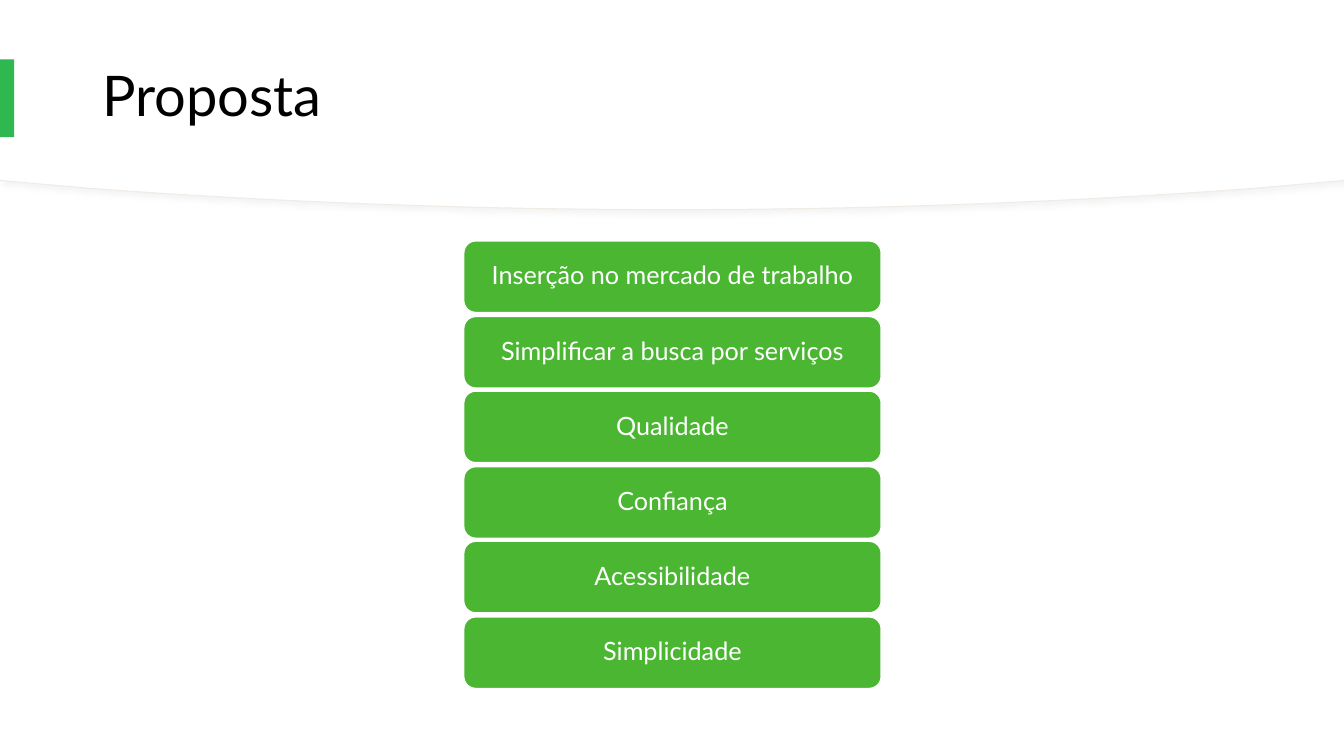
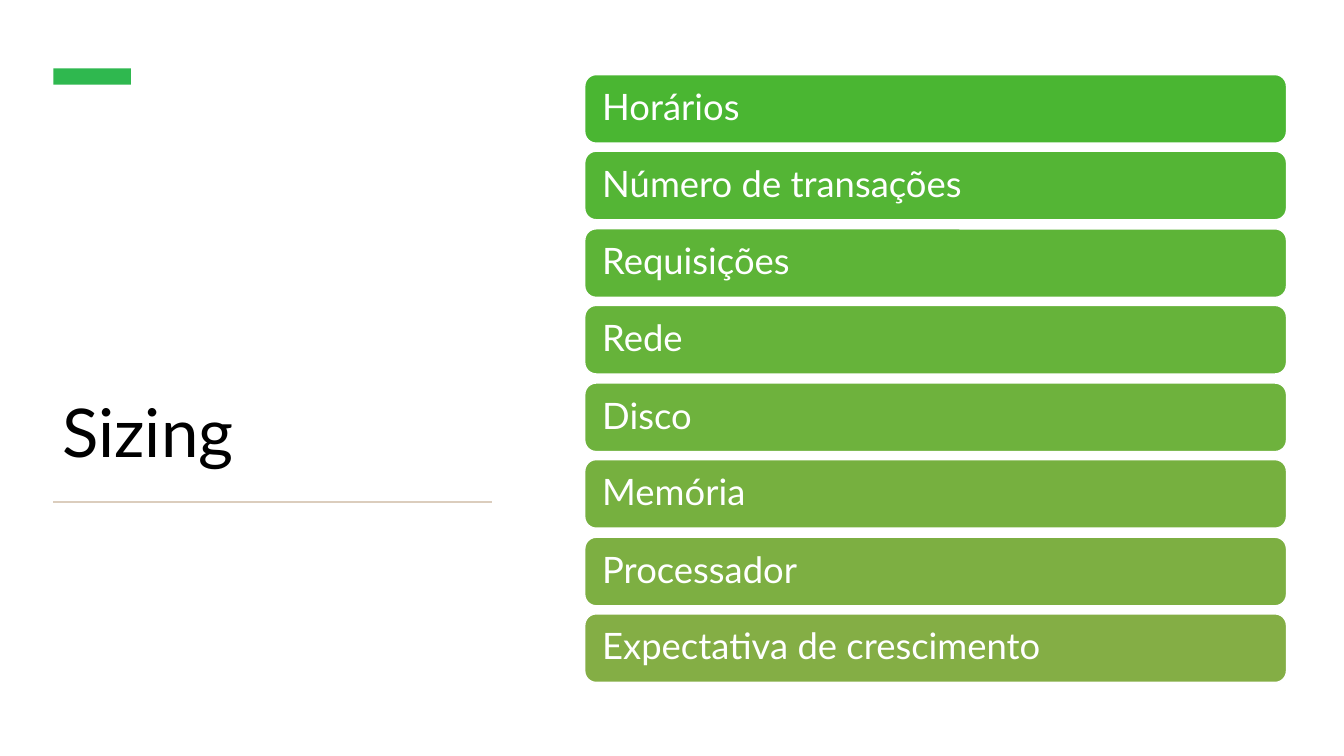
from lxml.etree import SubElement
from pptx import Presentation
from pptx.dml.color import RGBColor
from pptx.enum.shapes import MSO_CONNECTOR, MSO_SHAPE
from pptx.enum.text import MSO_ANCHOR, PP_ALIGN
from pptx.oxml.ns import qn
from pptx.util import Pt

PX = 9144
FONT = "Lato"
WHITE, BLACK, ACCENT, GREEN = "FFFFFF", "000000", "2FB84F", "4AB632"
CURVE_LINE, DIVIDER, SHADOW = "F0EBE5", "DBCDBD", "D9D9D9"
CURVE_STEPS = 24

PROPOSALS = [
    "Inserção no mercado de trabalho",
    "Simplificar a busca por serviços",
    "Qualidade",
    "Confiança",
    "Acessibilidade",
    "Simplicidade",
]
SIZING = [
    ("Horários", GREEN),
    ("Número de transações", "54B535"),
    ("Requisições", "5DB437"),
    ("Rede", "66B33A"),
    ("Disco", "6EB23D"),
    ("Memória", "76B03F"),
    ("Processador", "7DAF42"),
    ("Expectativa de crescimento", "84AE45"),
]


def px(value):
    """Turn pixels into EMU."""
    return round(value * PX)


def colour(code):
    """Turn a hex string into a colour."""
    return RGBColor.from_string(code)


def apply(target, values):
    """Set each named value on the target."""
    for name, value in values.items():
        setattr(target, name, value)


def paint(shape, fill, line=None, width=1):
    """Give a shape a flat fill and an optional outline."""
    shape.shadow.inherit = False
    shape.fill.solid()
    shape.fill.fore_color.rgb = colour(fill)
    if line:
        shape.line.color.rgb = colour(line)
        shape.line.width = Pt(width)
    else:
        shape.line.fill.background()


def write(shape, text, size, code, anchor, align=PP_ALIGN.LEFT, margins=(10, 5)):
    """Put one styled paragraph into a shape."""
    side, edge = map(px, margins)
    apply(shape.text_frame, {
        "word_wrap": True, "vertical_anchor": anchor,
        "margin_left": side, "margin_right": side,
        "margin_top": edge, "margin_bottom": edge,
    })
    para = shape.text_frame.paragraphs[0]
    apply(para, {"alignment": align, "line_spacing": 0.9})
    span = para.add_run()
    span.text = text
    apply(span.font, {"name": FONT, "size": Pt(size)})
    span.font.color.rgb = colour(code)


def add_title(page, text, area, size, anchor):
    """Add the slide title."""
    box = page.shapes.add_textbox(*map(px, area))
    write(box, text, size, BLACK, anchor)


def add_accent(page, area):
    """Add the green accent bar."""
    bar = page.shapes.add_shape(MSO_SHAPE.RECTANGLE, *map(px, area))
    paint(bar, ACCENT)


def add_divider(page, left, right, top):
    """Add a horizontal rule."""
    rule = page.shapes.add_connector(
        MSO_CONNECTOR.STRAIGHT, px(left), px(top), px(right), px(top))
    rule.line.color.rgb = colour(DIVIDER)
    rule.line.width = Pt(2)
    SubElement(rule.element.spPr, qn("a:effectLst"))


def bezier(start, first, second, end):
    """Sample a cubic curve after its start point."""
    points = []
    for step in range(1, CURVE_STEPS + 1):
        t = step / CURVE_STEPS
        weights = ((1 - t) ** 3, 3 * t * (1 - t) ** 2, 3 * t * t * (1 - t), t ** 3)
        corners = (start, first, second, end)
        points.append(tuple(
            sum(w * c[axis] for w, c in zip(weights, corners)) for axis in (0, 1)))
    return points


def add_curved_band(page, bottom):
    """Add a white header band with a bowed lower edge."""
    shoulder, side = bottom - 21, bottom - 29
    right, middle, left = (1242, shoulder), (667, bottom), (91, shoulder)
    outline = [(1333, 0), (1333, side), right]
    outline += bezier(right, (1065, bottom - 8), (871, bottom), middle)
    outline += bezier(middle, (463, bottom), (268, bottom - 8), left)
    outline.append((0, side))
    builder = page.shapes.build_freeform(0, 0)
    builder.add_line_segments([(px(x), px(y)) for x, y in outline], close=True)
    return builder.convert_to_shape()


def add_shadow(shape):
    """Add a soft grey shadow below a shape."""
    effects = shape.element.spPr.find(qn("a:effectLst"))
    shadow = SubElement(effects, qn("a:outerShdw"), blurRad=str(Pt(4)),
                        dist=str(Pt(3)), dir="2700000", algn="tl", rotWithShape="0")
    tint = SubElement(shadow, qn("a:srgbClr"), val=SHADOW)
    SubElement(tint, qn("a:alpha"), val="30000")


def add_header(page):
    """Add the curved header with its thin shadowed edge."""
    edge = add_curved_band(page, 208)
    paint(edge, WHITE, CURVE_LINE, 0.75)
    add_shadow(edge)
    paint(add_curved_band(page, 207), WHITE)


def add_cards(page, items, area, last_top, size, align, margins):
    """Stack equally spaced rounded cards."""
    left, top, width, height = area
    pitch = (last_top - top) / (len(items) - 1)
    for index, (text, fill) in enumerate(items):
        card = page.shapes.add_shape(
            MSO_SHAPE.ROUNDED_RECTANGLE,
            *map(px, (left, round(top + index * pitch), width, height)))
        paint(card, fill, WHITE)
        write(card, text, size, WHITE, MSO_ANCHOR.MIDDLE, align, margins)


def build_proposal(page):
    """Build the proposal slide."""
    add_header(page)
    add_title(page, "Proposta", (92, 28, 1150, 139), 40, MSO_ANCHOR.MIDDLE)
    add_accent(page, (0, 59, 14, 77))
    add_cards(page, [(text, GREEN) for text in PROPOSALS], (460, 239, 414, 71),
              612, 18, PP_ALIGN.CENTER, (10, 7))


def build_sizing(page):
    """Build the sizing slide."""
    add_title(page, "Sizing", (52, 123, 440, 350), 48, MSO_ANCHOR.BOTTOM)
    add_accent(page, (53, 68, 77, 16))
    add_divider(page, 53, 488, 498)
    add_cards(page, SIZING, (580, 74, 696, 68), 609, 26, PP_ALIGN.LEFT, (14, 14))


def main():
    """Build and save the deck."""
    deck = Presentation()
    apply(deck, {"slide_width": px(1333), "slide_height": px(750)})
    for build in (build_proposal, build_sizing):
        build(deck.slides.add_slide(deck.slide_layouts[6]))
    deck.save("out.pptx")


if __name__ == "__main__":
    main()
